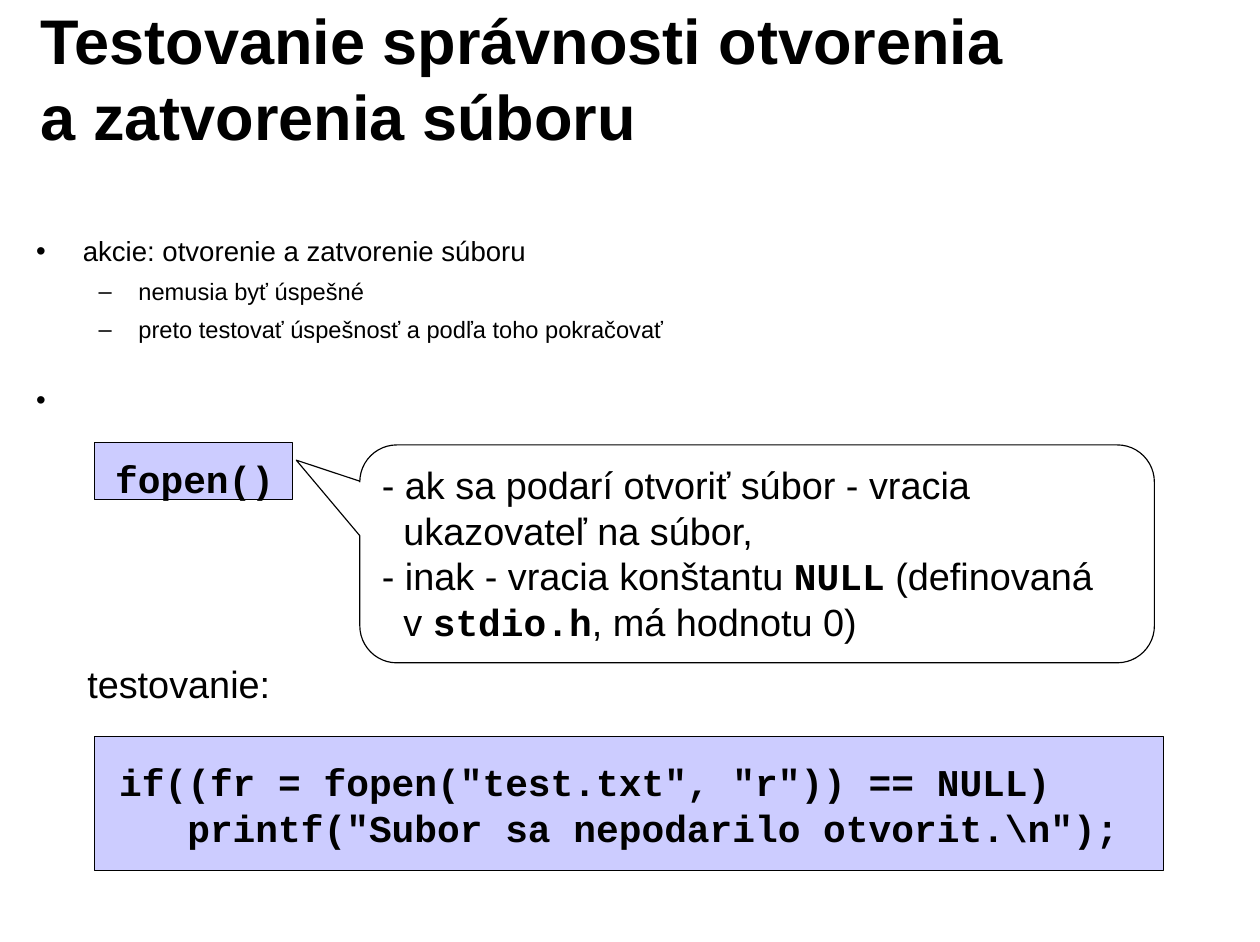
from lxml.etree import SubElement
from pptx import Presentation
from pptx.dml.color import RGBColor
from pptx.enum.shapes import MSO_SHAPE as Shape
from pptx.enum.text import MSO_ANCHOR as Anchor, PP_ALIGN as Align
from pptx.oxml.ns import qn
from pptx.util import Pt

PX = 9144
BLACK = RGBColor(0x00, 0x00, 0x00)
LILAC = RGBColor(0xCC, 0xCC, 0xFF)
SANS, MONO = "Arial", "Courier New"
LINE_FACTOR = 1.21


def scaled(*lengths):
    """Turn px lengths into EMU."""
    return [length * PX for length in lengths]


def prepare_frame(shape, insets, wrap=True, anchor=Anchor.TOP):
    """Set the insets, wrapping and anchor of a shape's text and return its frame."""
    frame = shape.text_frame
    frame.margin_left, frame.margin_top, frame.margin_right, frame.margin_bottom = scaled(*insets)
    frame.word_wrap = wrap
    frame.vertical_anchor = anchor
    return frame


def write_paragraph(frame, number, runs, size, align=Align.LEFT, before=0):
    """Write (text, font, bold) runs into the numbered paragraph of a frame."""
    paragraph = frame.add_paragraph() if number else frame.paragraphs[0]
    paragraph.alignment = align
    paragraph.line_spacing = Pt(round(size * LINE_FACTOR, 1))
    paragraph.space_before = Pt(before)
    for text, name, bold in runs:
        run = paragraph.add_run()
        run.text = text
        run.font.name, run.font.size, run.font.bold = name, Pt(size), bold
        run.font.color.rgb = BLACK
    return paragraph


def indent_paragraph(paragraph, left, first, bullet=None):
    """Give a paragraph a left margin, a first line offset and maybe a bullet."""
    properties = paragraph._p.get_or_add_pPr()
    properties.set("marL", str(left * PX))
    properties.set("indent", str(first * PX))
    if bullet:
        SubElement(properties, qn("a:buFont"), typeface=SANS)
        SubElement(properties, qn("a:buChar"), char=bullet)


def add_outlined(slide, kind, box, fill=None):
    """Add a shape with a thin black outline and an optional fill."""
    shape = slide.shapes.add_shape(kind, *scaled(*box))
    shape.shadow.inherit = False
    shape.line.color.rgb = BLACK
    shape.line.width = Pt(0.75)
    if fill is None:
        shape.fill.background()
    else:
        shape.fill.solid()
        shape.fill.fore_color.rgb = fill
    return shape


def place_title(slide, box, text):
    """Move the title placeholder into the box and write the heading."""
    title = slide.shapes.title
    title.left, title.top, title.width, title.height = scaled(*box)
    frame = prepare_frame(title, (11, 6, 11, 6), anchor=Anchor.MIDDLE)
    write_paragraph(frame, 0, [(text, SANS, True)], 40)


def add_bullets(slide, box, items):
    """Add a two-level bullet list of (level, space before, text) items."""
    styles = [(17.5, 41, -41, "•"), (15, 90, -35, "–")]
    frame = prepare_frame(slide.shapes.add_textbox(*scaled(*box)), (11, 6, 11, 6))
    for number, (level, before, text) in enumerate(items):
        size, left, first, bullet = styles[level]
        paragraph = write_paragraph(frame, number, [(text, SANS, False)], size, before=before)
        paragraph.level = level
        indent_paragraph(paragraph, left, first, bullet)


def add_code(slide, box, lines, insets, align=Align.LEFT):
    """Add a lilac box with lines of code."""
    frame = prepare_frame(add_outlined(slide, Shape.RECTANGLE, box, LILAC), insets)
    for number, line in enumerate(lines):
        write_paragraph(frame, number, [(line, MONO, True)], 24, align)


def add_callout(slide, box, lines):
    """Add a rounded callout pointing left, with (indent, runs) lines."""
    callout = add_outlined(slide, Shape.ROUNDED_RECTANGULAR_CALLOUT, box)
    for index, value in enumerate((-0.58, -0.43, 0.17)):
        callout.adjustments[index] = value
    frame = prepare_frame(callout, (10, 5, 10, 5))
    for number, (indent, runs) in enumerate(lines):
        indent_paragraph(write_paragraph(frame, number, runs, 24), indent, 0)


def add_label(slide, box, text):
    """Add a single centred line of text."""
    frame = prepare_frame(slide.shapes.add_textbox(*scaled(*box)), (10, 7, 10, 5), wrap=False)
    write_paragraph(frame, 0, [(text, SANS, False)], 24, Align.CENTER)


def main():
    """Build the slide and save it."""
    presentation = Presentation()
    presentation.slide_width, presentation.slide_height = scaled(1110, 830)
    slide = presentation.slides.add_slide(presentation.slide_layouts[5])
    place_title(slide, (25, 17, 892, 102), "Testovanie správnosti otvorenia a zatvorenia súboru")
    add_bullets(slide, (21, 200, 1067, 183), [
        (0, 0, "akcie: otvorenie a zatvorenie súboru"),
        (1, 6, "nemusia byť úspešné"),
        (1, 6, "preto testovať úspešnosť a podľa toho pokračovať"),
        (0, 25, " "),
    ])
    add_code(slide, (83, 390, 175, 50), ["fopen()"], (10, 11, 8, 0), Align.CENTER)
    add_callout(slide, (317, 392, 700, 192), [
        (0, [("- ak sa podarí otvoriť súbor - vracia", SANS, False)]),
        (19, [("ukazovateľ na súbor,", SANS, False)]),
        (0, [("- inak - vracia konštantu ", SANS, False), ("NULL", MONO, True),
             (" (definovaná", SANS, False)]),
        (19, [("v ", SANS, False), ("stdio.h", MONO, True), (", má hodnotu 0)", SANS, False)]),
    ])
    add_label(slide, (67, 575, 181, 50), "testovanie:")
    add_code(slide, (83, 649, 942, 118), [
        'if((fr = fopen("test.txt", "r")) == NULL)',
        '   printf("Subor sa nepodarilo otvorit.\\n");',
    ], (22, 19, 10, 5))
    presentation.save("out.pptx")


if __name__ == "__main__":
    main()
